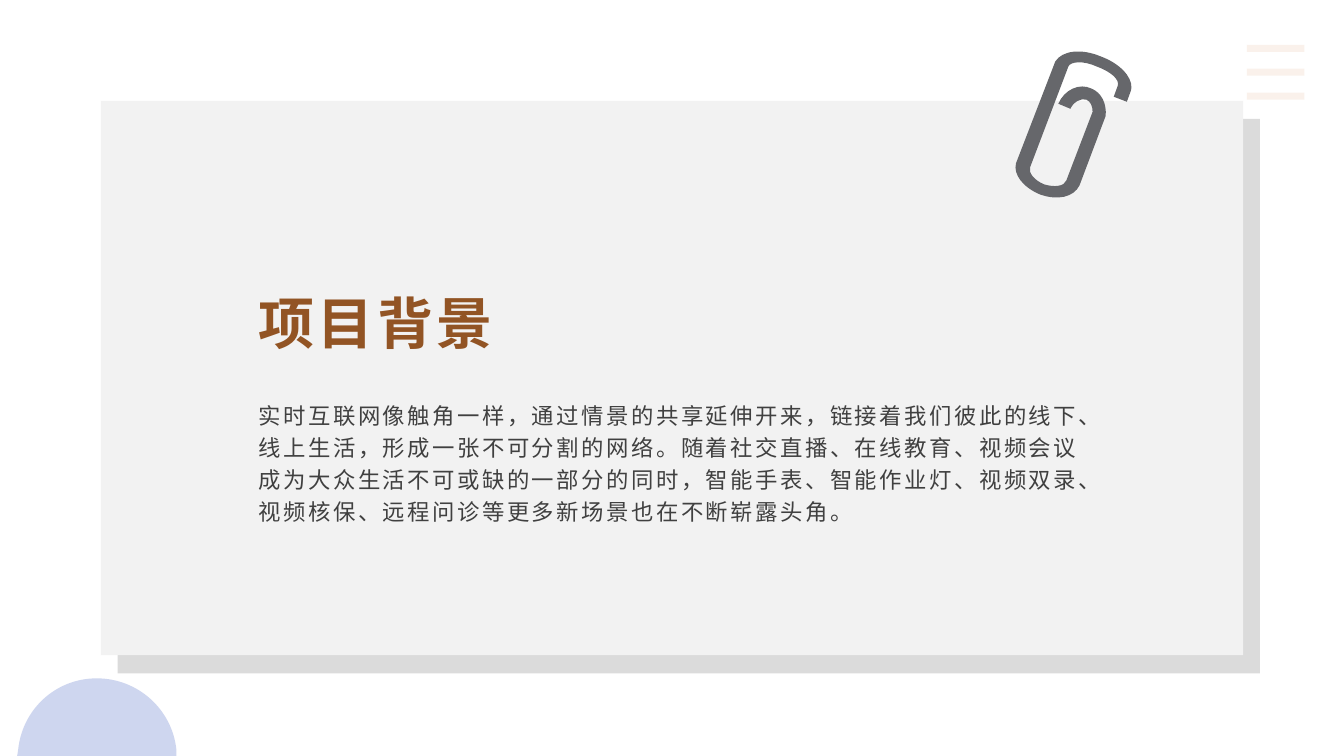
"""Build the project background slide on an 80 by 45 grid."""
from dataclasses import dataclass

from lxml import etree
from pptx import Presentation
from pptx import util as u
from pptx.dml import color, fill
from pptx.enum import shapes, text
from pptx.oxml import ns

COLS, ROWS = 80, 45
CELL = u.Inches(7.5) // ROWS
FONT = "Noto Sans CJK SC"


@dataclass
class Panel:
    """A rectangle in grid columns and rows."""
    col: float
    row: float
    hex: str
    alpha: int = 100
    cols: float = 68
    rows: float = 33


@dataclass
class Outline:
    """A closed outline whose steps are single points or Bezier triples."""
    start: tuple
    steps: list
    hex: str
    alpha: int = 100


@dataclass
class Copy:
    """The wording, place and look of one placeholder."""
    idx: int
    words: str
    row: float
    rows: float
    size: float
    hex: str
    spacing: float
    anchor: text.MSO_ANCHOR
    bold: bool = False
    leading: float = 1.0
    after: float = 0


PANELS = [Panel(7, 7.08, "000000", 14), Panel(6, 6, "F2F2F2")]
BAR_LEFT, BAR_RIGHT, BAR_TOP, BAR_GAP, BAR_COUNT = 74.22, 77.64, 2.88, 1.42, 3

DISC = Outline((10.5, 45), [
    [(1.02, 45)], [(1.08, 44.64)],
    [(1.32, 42.24), (3.3, 40.38), (5.76, 40.38)],
    [(8.22, 40.38), (10.26, 42.24), (10.5, 44.64)],
], "9FAEE0", 50)

CLIP = Outline((65.52, 3.36), [
    [(66.66, 3.78), (67.38, 4.56), (67.35, 5.22)],
    [(67.32, 5.4)], [(67.08, 6.06)], [(66.3, 5.76)], [(66.54, 5.1)],
    [(66.66, 4.74), (66.12, 4.26), (65.28, 3.96)],
    [(64.5, 3.6), (63.72, 3.66), (63.6, 3.96)],
    [(61.32, 9.96)],
    [(61.2, 10.26), (61.56, 10.74), (62.16, 10.98)],
    [(62.76, 11.16), (63.36, 11.1), (63.48, 10.74)],
    [(65.04, 6.66)],
    [(65.04, 6.3), (64.92, 6.06), (64.68, 5.94)],
    [(64.38, 5.82), (63.9, 6.06), (63.72, 6.48)],
    [(63, 6.18)],
    [(63.36, 5.34), (64.26, 4.92), (64.98, 5.28)],
    [(65.58, 5.52), (65.88, 6.18), (65.82, 6.9)],
    [(64.26, 11.04)],
    [(63.9, 11.76), (62.94, 11.94), (61.92, 11.58)],
    [(60.9, 11.16), (60.3, 10.38), (60.48, 9.72)],
    [(62.82, 3.66)],
    [(63.24, 3), (64.38, 2.88), (65.52, 3.36)],
], "66676B")

COPY = [
    Copy(0, "项目背景", 14, 7.4, 40, "925424", 2.4, text.MSO_ANCHOR.BOTTOM, True),
    Copy(1, "实时互联网像触角一样，通过情景的共享延伸开来，链接着我们彼此的线下、"
            "线上生活，形成一张不可分割的网络。随着社交直播、在线教育、视频会议"
            "成为大众生活不可或缺的一部分的同时，智能手表、智能作业灯、视频双录、"
            "视频核保、远程问诊等更多新场景也在不断崭露头角。",
         23.4, 9, 16, "404040", 1.8, text.MSO_ANCHOR.TOP, leading=1.2, after=8),
]


def grid(n: float) -> u.Emu:
    """Turn grid cells into a length."""
    return u.Emu(round(n * CELL))


def paint(f: fill.FillFormat, hex_: str, alpha: int = 100) -> None:
    """Fill with a solid colour at the given opacity in percent."""
    f.solid()
    f.fore_color.rgb = color.RGBColor.from_string(hex_)
    if alpha < 100:
        clr = f._xPr.find(".//" + ns.qn("a:srgbClr"))
        etree.SubElement(clr, ns.qn("a:alpha"), val=str(alpha * 1000))


def finish(sp, hex_: str, alpha: int) -> None:
    """Give a shape a flat fill without line or shadow."""
    paint(sp.fill, hex_, alpha)
    sp.line.fill.background()
    sp.shadow.inherit = False


def add_panel(s, panel: Panel) -> None:
    """Draw a rectangle."""
    sp = s.shapes.add_shape(shapes.MSO_SHAPE.RECTANGLE, grid(panel.col), grid(panel.row),
                            grid(panel.cols), grid(panel.rows))
    finish(sp, panel.hex, panel.alpha)


def add_bar(s, row: float) -> None:
    """Draw one pale bar in the corner."""
    cx = s.shapes.add_connector(shapes.MSO_CONNECTOR.STRAIGHT, grid(BAR_LEFT), grid(row),
                                grid(BAR_RIGHT), grid(row))
    cx.line.width = u.Pt(5)
    paint(cx.line.fill, "E2B08A", 17)
    etree.SubElement(cx._element.spPr, ns.qn("a:effectLst"))


def add_outline(s, outline: Outline) -> None:
    """Draw a closed freeform, bending the segments that have control points."""
    fb = s.shapes.build_freeform(*map(grid, outline.start))
    fb.add_line_segments([tuple(map(grid, step[-1])) for step in outline.steps], close=True)
    sp = fb.convert_to_shape()
    segments = list(sp._element.iter(ns.qn("a:lnTo")))
    for segment, step in zip(segments, outline.steps):
        if len(step) == 3:
            curve = etree.Element(ns.qn("a:cubicBezTo"))
            for x, y in step:
                etree.SubElement(curve, ns.qn("a:pt"), x=str(grid(x) - sp.left),
                                 y=str(grid(y) - sp.top))
            segment.getparent().replace(segment, curve)
    finish(sp, outline.hex, outline.alpha)


def add_copy(s, copy: Copy) -> None:
    """Move, fill and format a placeholder and bring it to the front."""
    sp = s.placeholders[copy.idx]
    s.shapes._spTree.append(sp._element)
    sp.left, sp.top = grid(15), grid(copy.row)
    sp.width, sp.height = grid(50), grid(copy.rows)
    tf = sp.text_frame
    tf.word_wrap, tf.auto_size = True, text.MSO_AUTO_SIZE.NONE
    tf.vertical_anchor = copy.anchor
    tf.margin_left = tf.margin_right = grid(0.4)
    tf.margin_top = tf.margin_bottom = grid(0.2)
    p = tf.paragraphs[0]
    pPr = p._p.get_or_add_pPr()
    pPr.set("marL", "0")
    pPr.set("indent", "0")
    etree.SubElement(pPr, ns.qn("a:buNone"))
    p.alignment = text.PP_ALIGN.LEFT
    p.line_spacing = copy.leading
    p.space_before, p.space_after = u.Pt(0), u.Pt(copy.after)
    r = p.add_run()
    r.text = copy.words
    r.font.size, r.font.bold, r.font.name = u.Pt(copy.size), copy.bold, FONT
    paint(r.font.fill, copy.hex)
    rPr = r._r.get_or_add_rPr()
    rPr.set("spc", str(round(copy.spacing * 100)))
    etree.SubElement(rPr, ns.qn("a:ea"), typeface=FONT)


def main() -> None:
    """Build and save the slide."""
    prs = Presentation()
    prs.slide_width, prs.slide_height = grid(COLS), grid(ROWS)
    s = prs.slides.add_slide(prs.slide_layouts[1])
    for i in range(BAR_COUNT):
        add_bar(s, BAR_TOP + i * BAR_GAP)
    add_outline(s, DISC)
    for panel in PANELS:
        add_panel(s, panel)
    add_outline(s, CLIP)
    for copy in COPY:
        add_copy(s, copy)
    prs.save("out.pptx")


if __name__ == "__main__":
    main()
